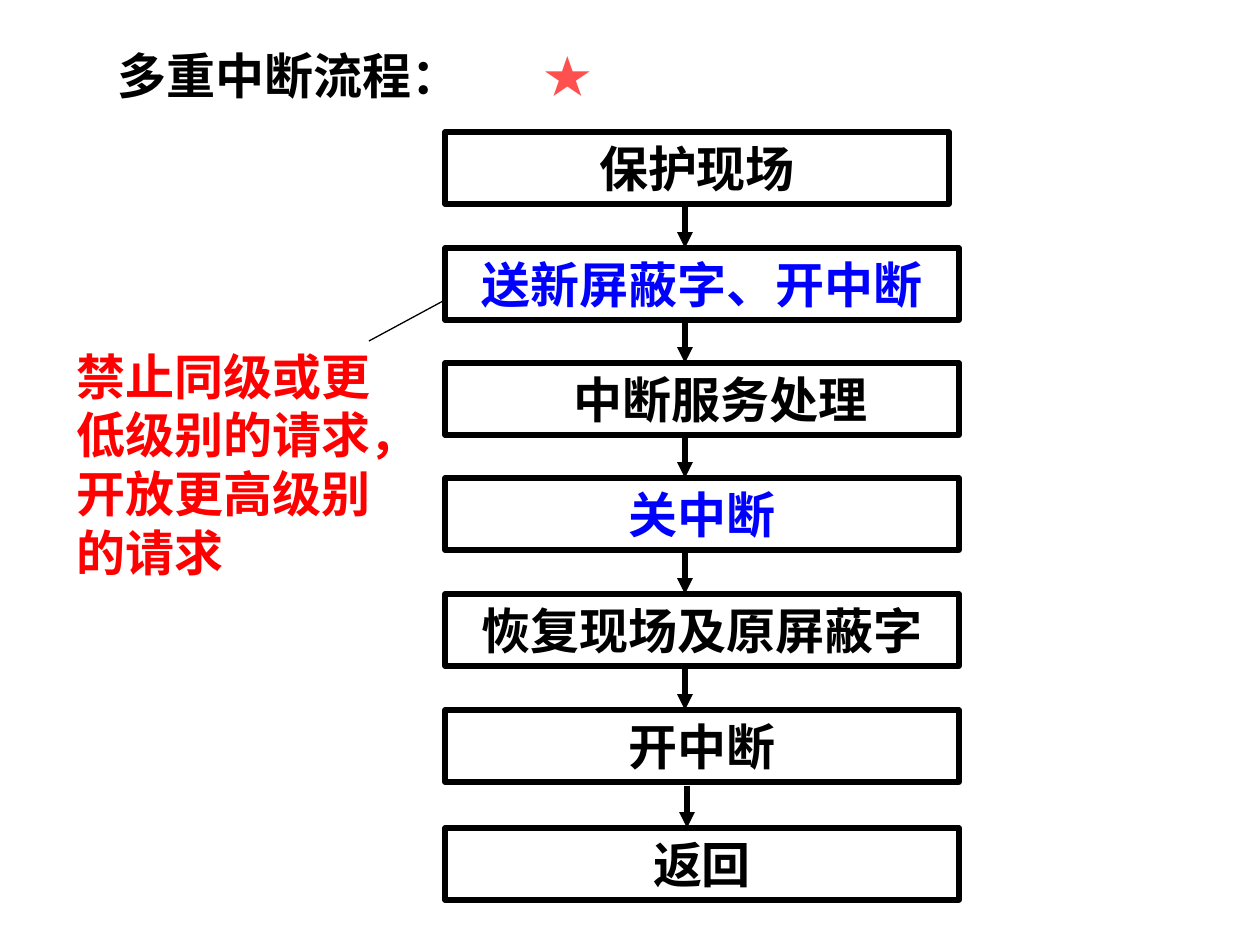
from dataclasses import dataclass
from typing import Any

from lxml import etree
from pptx import Presentation
from pptx import util as u
from pptx.dml import color
from pptx.enum import shapes, text
from pptx.oxml import ns

EMU_PER_PX = 914400 / 126


@dataclass(frozen=True)
class Theme:
    font: str = "Times New Roman"
    size: int = 28
    box_line: float = 3
    callout_line: float = 0.75
    ink: str = "000000"
    key_step: str = "0000FF"
    note: str = "FF0000"
    star: str = "FF5050"


THEME = Theme()


@dataclass(frozen=True)
class Step:
    label: str
    top: int
    color: str = THEME.ink
    width: int = 514
    indent: int = 0
    arrow_x: int = 685


BOX_LEFT, BOX_HEIGHT, ARROW_LENGTH = 445, 72, 42
FIRST_TOP, STEP_PITCH = 132, 115.5


def step_top(index: int) -> int:
    return round(FIRST_TOP + index * STEP_PITCH)


STEPS = [
    Step("保护现场", step_top(0), width=504),
    Step("送新屏蔽字、开中断", step_top(1), THEME.key_step),
    Step("中断服务处理", step_top(2), indent=37),
    Step("关中断", step_top(3), THEME.key_step),
    Step("恢复现场及原屏蔽字", step_top(4)),
    Step("开中断", step_top(5)),
    Step("返回", 828, arrow_x=687),
]


def px(value: float) -> u.Emu:
    return u.Emu(round(value * EMU_PER_PX))


def rgb(value: str) -> color.RGBColor:
    return color.RGBColor.from_string(value)


def apply(target: Any, values: dict[str, Any]) -> None:
    for name, value in values.items():
        setattr(target, name, value)


def write(shape: Any, content: str, ink: str, align: Any, wrap: bool = True, indent: int = 0) -> None:
    frame = shape.text_frame
    frame.text = content
    apply(frame, {
        "word_wrap": wrap,
        "auto_size": text.MSO_AUTO_SIZE.SHAPE_TO_FIT_TEXT,
        "vertical_anchor": text.MSO_ANCHOR.TOP,
        "margin_left": u.Inches(0.1) + px(indent),
    })
    paragraph = frame.paragraphs[0]
    paragraph.alignment = align
    apply(paragraph.font, {"name": THEME.font, "size": u.Pt(THEME.size), "bold": True})
    paragraph.font.color.rgb = rgb(ink)


def draw_line(slide: Any, start: tuple[int, int], end: tuple[int, int], width: float, arrow: bool = False) -> None:
    connector = slide.shapes.add_connector(
        shapes.MSO_CONNECTOR.STRAIGHT, *map(px, start + end))
    connector.line.color.rgb = rgb(THEME.ink)
    connector.line.width = u.Pt(width)
    properties = connector.element.spPr
    if arrow:
        outline = properties.find(ns.qn("a:ln"))
        etree.SubElement(outline, ns.qn("a:tailEnd"), type="triangle")
    etree.SubElement(properties, ns.qn("a:effectLst"))


def draw_step(slide: Any, step: Step) -> None:
    box = slide.shapes.add_shape(
        shapes.MSO_SHAPE.RECTANGLE,
        *map(px, (BOX_LEFT, step.top, step.width, BOX_HEIGHT)))
    box.shadow.inherit = False
    box.fill.background()
    box.line.color.rgb = rgb(THEME.ink)
    box.line.width = u.Pt(THEME.box_line)
    write(box, step.label, step.color, text.PP_ALIGN.CENTER, indent=step.indent)


def main() -> None:
    presentation = Presentation()
    apply(presentation, {"slide_width": u.Inches(10), "slide_height": u.Inches(7.5)})
    slide = presentation.slides.add_slide(presentation.slide_layouts[5])

    title = slide.shapes.title
    apply(title, {"left": px(105), "top": px(39), "width": px(456), "height": px(72)})
    write(title, "多重中断流程：", THEME.ink, text.PP_ALIGN.LEFT)

    star = slide.shapes.add_textbox(*map(px, (530, 37, 75, 72)))
    write(star, "★", THEME.star, text.PP_ALIGN.CENTER, wrap=False)

    note = slide.shapes.add_textbox(*map(px, (64, 340, 357, 251)))
    write(note, "禁止同级或更低级别的请求，开放更高级别的请求", THEME.note, text.PP_ALIGN.LEFT)

    for step in STEPS:
        draw_step(slide, step)
    for step in STEPS[1:]:
        draw_line(slide, (step.arrow_x, step.top - ARROW_LENGTH),
                  (step.arrow_x, step.top), THEME.box_line, arrow=True)
    draw_line(slide, (369, 341), (BOX_LEFT, 300), THEME.callout_line)

    presentation.save("out.pptx")


if __name__ == "__main__":
    main()
